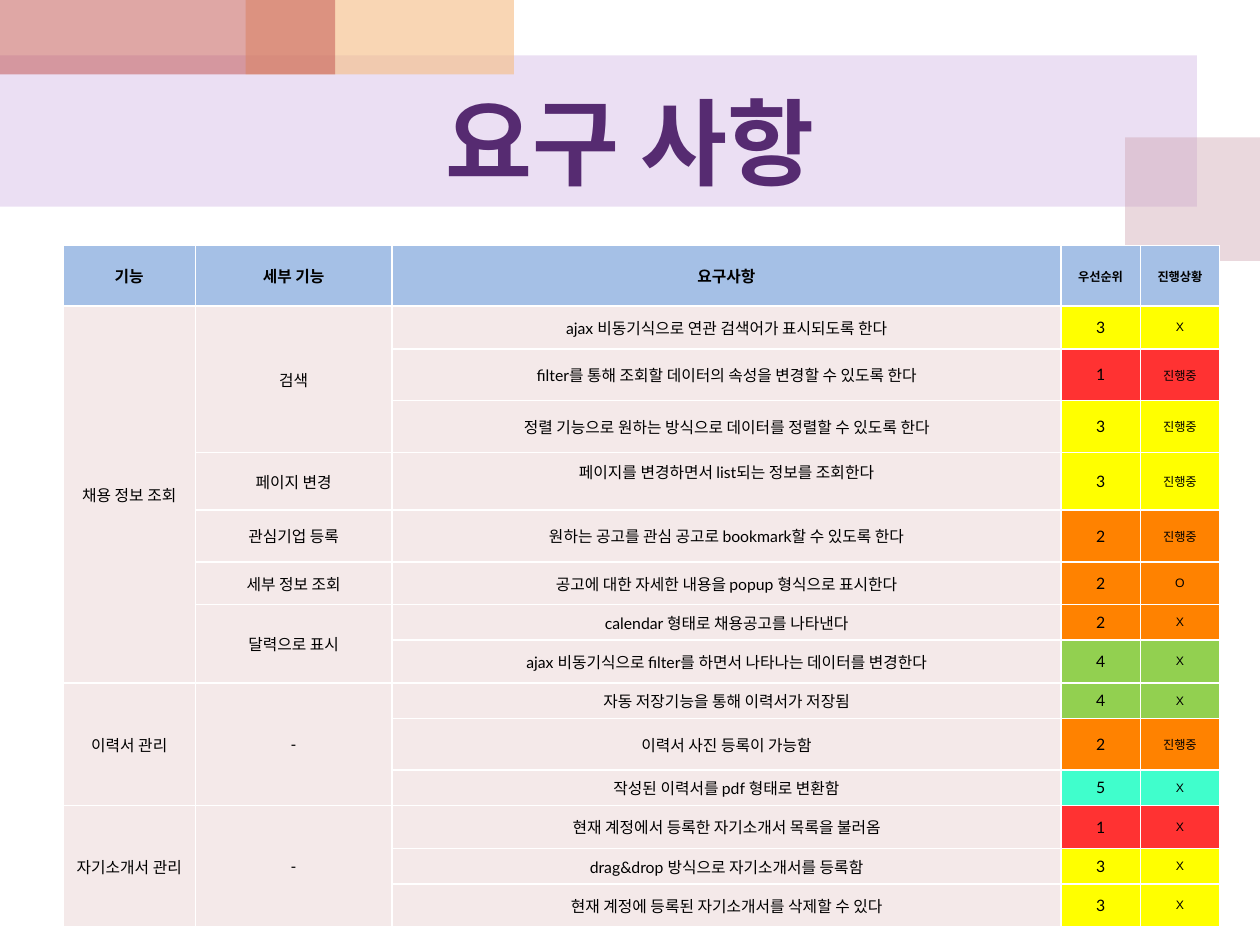
from dataclasses import dataclass

from lxml import etree
from pptx import Presentation
from pptx.dml.color import RGBColor
from pptx.enum import shapes, text
from pptx.oxml import ns
from pptx.util import Inches, Pt

COLORS = {
    "white": "FFFFFF", "black": "000000", "title": "562B71",
    "lilac": "BF98D8", "rose": "CC9EAC", "peach": "F5BC83", "brick": "C0504D",
    "header": "A5C0E6", "body": "F4E9E9",
}
PRIORITY_COLORS = {"1": "FF3232", "2": "FF8200", "3": "FFFF00", "4": "92D050", "5": "40FECC"}
HANGUL = "Noto Sans CJK KR"
LATIN = "Lato"
STATUS = "Arial"


@dataclass
class Block:
    left: float
    top: float
    width: float
    height: float
    color: str
    opacity: int


@dataclass
class Requirement:
    height: float
    wording: str
    priority: str
    status: str
    detail: str = ""
    feature: str = ""
    bottom_margin: float = 0.05


BLOCKS = [
    Block(0, 0.44, 9.5, 1.2, "lilac", 30),
    Block(8.93, 1.09, 1.07, 0.98, "rose", 40),
    Block(1.95, 0, 2.13, 0.59, "peach", 60),
    Block(0, 0, 2.66, 0.59, "brick", 50),
]
HEADERS = ["기능", "세부 기능", "요구사항", "우선순위", "진행상황"]
COLUMN_WIDTHS = [1.05, 1.56, 5.31, 0.63, 0.63]
HEADER_HEIGHT = 0.48
REQUIREMENTS = [
    Requirement(0.34, "ajax 비동기식으로 연관 검색어가 표시되도록 한다", "3", "X", "검색", "채용 정보 조회"),
    Requirement(0.41, "filter를 통해 조회할 데이터의 속성을 변경할 수 있도록 한다", "1", "진행중"),
    Requirement(0.41, "정렬 기능으로 원하는 방식으로 데이터를 정렬할 수 있도록 한다", "3", "진행중"),
    Requirement(0.46, "페이지를 변경하면서 list되는 정보를 조회한다", "3", "진행중", "페이지 변경",
                bottom_margin=0.2),
    Requirement(0.41, "원하는 공고를 관심 공고로 bookmark할 수 있도록 한다", "2", "진행중", "관심기업 등록"),
    Requirement(0.34, "공고에 대한 자세한 내용을 popup 형식으로 표시한다", "2", "O", "세부 정보 조회"),
    Requirement(0.28, "calendar 형태로 채용공고를 나타낸다", "2", "X", "달력으로 표시"),
    Requirement(0.34, "ajax 비동기식으로 filter를 하면서 나타나는 데이터를 변경한다", "4", "X"),
    Requirement(0.28, "자동 저장기능을 통해 이력서가 저장됨", "4", "X", "-", "이력서 관리"),
    Requirement(0.41, "이력서 사진 등록이 가능함", "2", "진행중"),
    Requirement(0.28, "작성된 이력서를 pdf 형태로 변환함", "5", "X"),
    Requirement(0.34, "현재 계정에서 등록한 자기소개서 목록을 불러옴", "1", "X", "-", "자기소개서 관리"),
    Requirement(0.28, "drag&drop 방식으로 자기소개서를 등록함", "3", "X"),
    Requirement(0.34, "현재 계정에 등록된 자기소개서를 삭제할 수 있다", "3", "X"),
]


def add_block(page, block: Block) -> None:
    box = page.shapes.add_shape(
        shapes.MSO_SHAPE.RECTANGLE, Inches(block.left), Inches(block.top),
        Inches(block.width), Inches(block.height))
    box.shadow.inherit = False
    box.line.fill.background()
    box.fill.solid()
    box.fill.fore_color.rgb = RGBColor.from_string(COLORS[block.color])
    color = box.fill._xPr.find(".//" + ns.qn("a:srgbClr"))
    etree.SubElement(color, ns.qn("a:alpha"), val=str(block.opacity * 1000))


def format_paragraph(para, size: float, font: str, color: str, bold: bool = False) -> None:
    para.alignment = text.PP_ALIGN.CENTER
    para.font.size = Pt(size)
    para.font.name = font
    para.font.bold = bold
    para.font.color.rgb = RGBColor.from_string(COLORS[color])
    for span in para.runs:
        properties = span._r.get_or_add_rPr()
        etree.SubElement(properties, ns.qn("a:ea"), typeface=HANGUL)


def add_borders(cell) -> None:
    properties = cell._tc.get_or_add_tcPr()
    for side in ("lnL", "lnR", "lnT", "lnB"):
        line = etree.SubElement(properties, ns.qn("a:" + side), w=str(Pt(1)))
        fill = etree.SubElement(line, ns.qn("a:solidFill"))
        etree.SubElement(fill, ns.qn("a:srgbClr"), val=COLORS["white"])


def fill_cell(cell, wording: str, color: str, size: float = 9, font: str = LATIN,
              bold: bool = False, margin: float = 0.05) -> None:
    add_borders(cell)
    cell.fill.solid()
    cell.fill.fore_color.rgb = RGBColor.from_string(color)
    cell.vertical_anchor = text.MSO_ANCHOR.MIDDLE
    cell.margin_left = cell.margin_right = Inches(margin)
    cell.margin_top = cell.margin_bottom = Inches(margin)
    cell.text = wording
    format_paragraph(cell.text_frame.paragraphs[0], size, font, "black", bold)


def merge_groups(table, column: int, starts: list[int]) -> None:
    for first, following in zip(starts, starts[1:]):
        if following - first > 1:
            table.cell(first, column).merge(table.cell(following - 1, column))


def add_requirements(page) -> None:
    row_heights = [HEADER_HEIGHT] + [item.height for item in REQUIREMENTS]
    table = page.shapes.add_table(
        len(row_heights), len(HEADERS), Inches(0.5), Inches(1.95),
        Inches(sum(COLUMN_WIDTHS)), Inches(sum(row_heights))).table
    for column, width in zip(table.columns, COLUMN_WIDTHS):
        column.width = Inches(width)
    for row, height in zip(table.rows, row_heights):
        row.height = Inches(height)
    for index, heading in enumerate(HEADERS):
        fill_cell(table.cell(0, index), heading, COLORS["header"],
                  9 if index < 3 else 7, HANGUL, True)
    for number, item in enumerate(REQUIREMENTS, 1):
        for index, wording in enumerate((item.feature, item.detail, item.wording)):
            fill_cell(table.cell(number, index), wording, COLORS["body"])
        table.cell(number, 2).margin_bottom = Inches(item.bottom_margin)
        color = PRIORITY_COLORS[item.priority]
        fill_cell(table.cell(number, 3), item.priority, color)
        fill_cell(table.cell(number, 4), item.status, color, 7, STATUS, margin=0.07)
    end = len(row_heights)
    for index, field in enumerate(("feature", "detail")):
        starts = [number for number, item in enumerate(REQUIREMENTS, 1) if getattr(item, field)]
        merge_groups(table, index, starts + [end])


def place_title(page) -> None:
    title = page.shapes.title
    page.shapes._spTree.append(title._element)
    title.left, title.top = Inches(0.5), Inches(0.59)
    title.width, title.height = Inches(9), Inches(1.05)
    title.text_frame.text = "요구 사항"
    title.text_frame.vertical_anchor = text.MSO_ANCHOR.MIDDLE
    format_paragraph(title.text_frame.paragraphs[0], 54, HANGUL, "title", True)


deck = Presentation()
deck.slide_width, deck.slide_height = Inches(10), Inches(7.5)
page = deck.slides.add_slide(deck.slide_layouts[5])
for block in BLOCKS:
    add_block(page, block)
place_title(page)
add_requirements(page)
deck.save("out.pptx")
